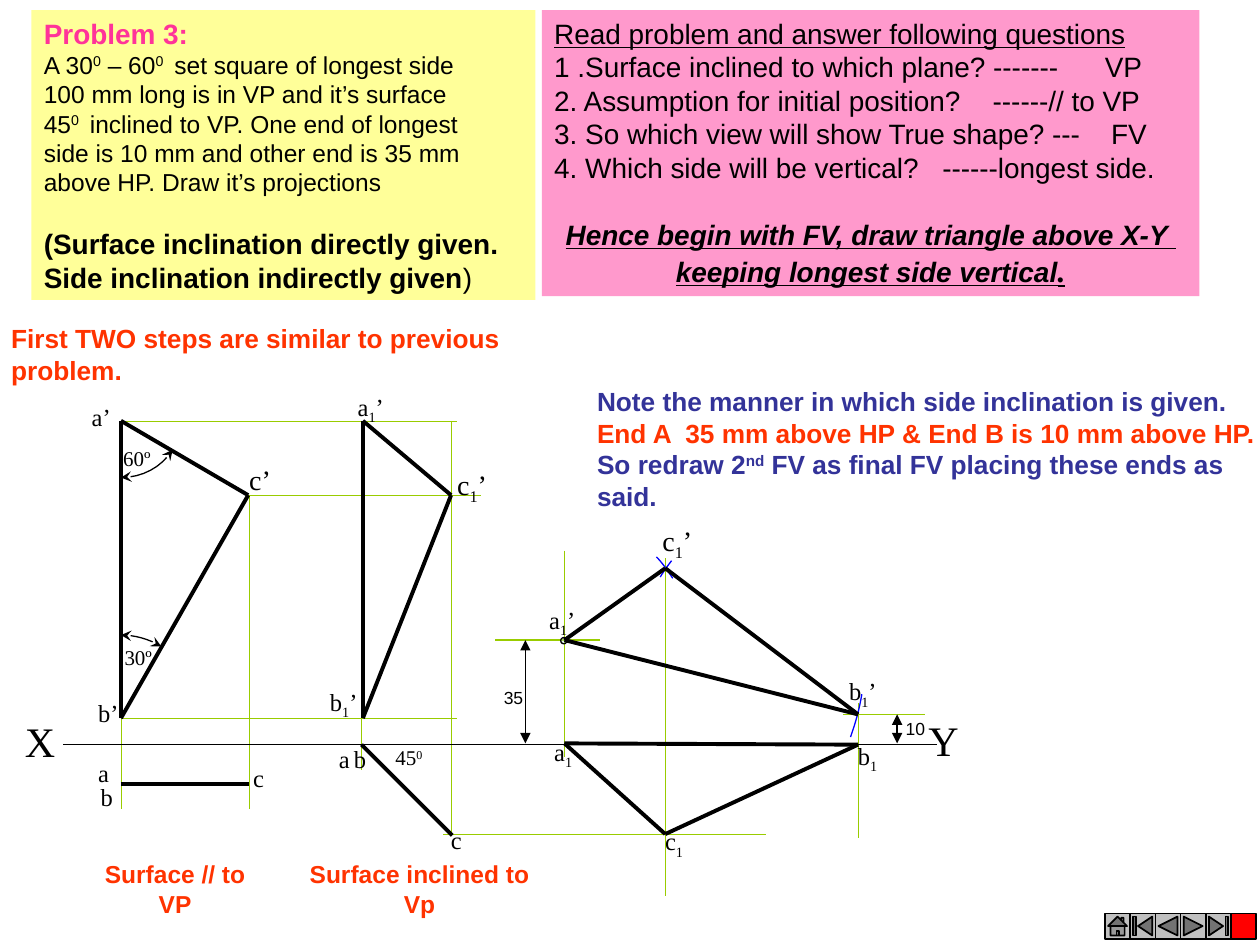
from dataclasses import dataclass, replace

from lxml import etree
from pptx import Presentation
from pptx.dml.color import RGBColor
from pptx.enum.shapes import MSO_CONNECTOR, MSO_SHAPE
from pptx.enum.text import MSO_ANCHOR, MSO_AUTO_SIZE, PP_ALIGN
from pptx.oxml.ns import qn
from pptx.util import Pt

PX = 9144
BLACK = RGBColor(0x00, 0x00, 0x00)
GREEN = RGBColor(0x99, 0xCC, 0x00)
BLUE = RGBColor(0x00, 0x00, 0xFF)
NAVY = RGBColor(0x33, 0x33, 0x99)
ORANGE = RGBColor(0xFF, 0x33, 0x00)
MAGENTA = RGBColor(0xFF, 0x33, 0x99)
YELLOW = RGBColor(0xFF, 0xFF, 0x99)
PINK = RGBColor(0xFF, 0x99, 0xCC)
SILVER = RGBColor(0xC0, 0xC0, 0xC0)
RED = RGBColor(0xFF, 0x00, 0x00)
PALE = RGBColor(0xBB, 0xE0, 0xE3)
STRAIGHT = MSO_CONNECTOR.STRAIGHT
RECTANGLE, OVAL = MSO_SHAPE.RECTANGLE, MSO_SHAPE.OVAL
LEFT, CENTER = PP_ALIGN.LEFT, PP_ALIGN.CENTER
TOP, FIT = MSO_ANCHOR.TOP, MSO_AUTO_SIZE.SHAPE_TO_FIT_TEXT
BUTTONS = (MSO_SHAPE.ACTION_BUTTON_HOME, MSO_SHAPE.ACTION_BUTTON_BEGINNING,
           MSO_SHAPE.ACTION_BUTTON_BACK_OR_PREVIOUS,
           MSO_SHAPE.ACTION_BUTTON_FORWARD_OR_NEXT,
           MSO_SHAPE.ACTION_BUTTON_END, MSO_SHAPE.ACTION_BUTTON_CUSTOM)
BASELINES = {"^": "30000", "_": "-25000"}


@dataclass(frozen=True)
class Style:
    """Look of a run of text."""
    size: int
    color: RGBColor = BLACK
    font: str = "Arial"
    bold: bool = False
    italic: bool = False
    underline: bool = False


BODY, LARGE = Style(14), Style(16)
STRONG = replace(LARGE, bold=True)
HENCE = replace(STRONG, italic=True, underline=True)
CAPTION = Style(14, ORANGE, bold=True)
NOTE = Style(15, NAVY, bold=True)
NOTE_HOT = replace(NOTE, color=ORANGE)
SERIF = {size: Style(size, font="Times New Roman") for size in (12, 14, 16, 24)}

GUIDES = [((528, 443), (528, 711)), ((681, 558), (681, 665)), ((352, 662), (608, 662)),
          ((358, 334), (358, 662)), ((198, 393), (198, 642)), ((96, 334), (96, 642)),
          ((287, 334), (287, 611)), ((96, 334), (363, 334)), ((96, 570), (363, 570)),
          ((197, 393), (382, 393)), ((448, 437), (448, 601))]
LEVELS = [((393, 508), (476, 508)), ((669, 567), (734, 567))]
DIMENSIONS = [((417, 508), (417, 590)), ((712, 567), (712, 590))]
VIEWS = [[(96, 334), (197, 393), (96, 570), (96, 334)],
         [(288, 334), (358, 393), (288, 570), (288, 334)],
         [(448, 508), (528, 451), (681, 567), (448, 508)],
         [(448, 590), (528, 662), (681, 591), (448, 590)],
         [(96, 622), (198, 622)], [(287, 591), (359, 663)]]
COMPASS_ARCS = [[(675, 585), (679, 574), (682, 563), (684, 551)],
                [(521, 442), (526, 447), (530, 453), (534, 459)],
                [(524, 458), (527, 453), (530, 449), (533, 445)]]
ANGLES = [([(96, 379), (113, 379), (128, 371), (137, 357)], "60º", (88, 349, 57, 30)),
          ([(96, 504), (107, 504), (118, 507), (128, 513)], "30º", (89, 507, 44, 30))]
FREE_LABELS = [
    (["X"], 24, (10, 563, 44, 50)), (["Y"], 24, (727, 562, 44, 50)),
    (["c", "_1"], 14, (518, 651, 35, 33)), (["a", "_1"], 14, (430, 580, 35, 33)),
    (["a", "_1", "’"], 14, (426, 475, 41, 33)), (["b", "_1", "’"], 14, (664, 532, 43, 33)),
    (["c", "_1", "’"], 16, (516, 411, 53, 37)), (["a", "_1", "’"], 14, (274, 306, 41, 33)),
    (["b", "_1", "’"], 14, (252, 540, 43, 33)), (["c", "_1", "’"], 16, (353, 366, 45, 37)),
    (["a"], 14, (259, 586, 29, 33)), (["b"], 14, (271, 586, 30, 33)),
    (["c"], 14, (348, 650, 29, 33)), (["c"], 14, (191, 601, 29, 33)),
    (["a"], 14, (68, 597, 29, 33)), (["b"], 14, (70, 616, 30, 33)),
    (["b’"], 14, (68, 549, 36, 33)), (["c’"], 16, (188, 362, 37, 37))]
WRAPPED_LABELS = [(["b", "_1"], 14, (671, 583, 46, 33)), (["a’"], 14, (63, 314, 43, 33)),
                  (["45", "^0"], 12, (304, 586, 55, 30))]


def place(box):
    """Turn a box in px into EMU."""
    return [value * PX for value in box]


def add_run(paragraph, text, style):
    """Add one run; a leading ^ or _ raises or lowers it."""
    run = paragraph.add_run()
    baseline = BASELINES.get(text[0])
    run.text = text[1:] if baseline else text
    font = run.font
    font.name, font.size, font.color.rgb = style.font, Pt(style.size), style.color
    font.bold, font.italic, font.underline = style.bold, style.italic, style.underline
    if baseline:
        run._r.get_or_add_rPr().set("baseline", baseline)


def write(shape, paragraphs, align=LEFT, wrap=True):
    """Fill a shape with paragraphs, each a list of (text, style) runs."""
    frame = shape.text_frame
    frame.word_wrap, frame.auto_size, frame.vertical_anchor = wrap, FIT, TOP
    for index, runs in enumerate(paragraphs):
        paragraph = frame.add_paragraph() if index else frame.paragraphs[0]
        paragraph.alignment = align
        for text, style in runs:
            add_run(paragraph, text, style)
    return frame.paragraphs


def styled(style, *texts):
    """Pair each text with one style."""
    return [(text, style) for text in texts]


def add_text(shapes, box, paragraphs, align=LEFT, wrap=True):
    """Add a text box."""
    write(shapes.add_textbox(*place(box)), paragraphs, align, wrap)


def add_tab(paragraph, position):
    """Give a paragraph one left tab stop."""
    stops = etree.SubElement(paragraph._p.get_or_add_pPr(), qn("a:tabLst"))
    etree.SubElement(stops, qn("a:tab"), pos=str(position * PX), algn="l")


def format_line(line, color, width, arrow=None):
    """Set colour, width and arrowheads at both ends."""
    line.color.rgb, line.width = color, Pt(width)
    if arrow:
        for end in ("a:headEnd", "a:tailEnd"):
            etree.SubElement(line._get_or_add_ln(), qn(end), type=arrow)


def add_line(shapes, start, end, color=BLACK, width=0.75, arrow=None):
    """Add a straight connector without shadow."""
    connector = shapes.add_connector(STRAIGHT, *place(start + end))
    format_line(connector.line, color, width, arrow)
    etree.SubElement(connector._element.spPr, qn("a:effectLst"))


def add_arc(shapes, controls, color, arrow=None, steps=8):
    """Add an open curve from four Bezier control points."""
    points = []
    for step in range(steps + 1):
        t = step / steps
        weights = ((1 - t) ** 3, 3 * t * (1 - t) ** 2, 3 * t * t * (1 - t), t ** 3)
        points.append(tuple(round(PX * sum(w * c for w, c in zip(weights, axis)))
                            for axis in zip(*controls)))
    builder = shapes.build_freeform(*points[0], scale=1.0)
    builder.add_line_segments(points[1:], close=False)
    arc = builder.convert_to_shape()
    arc.shadow.inherit = False
    arc.fill.background()
    format_line(arc.line, color, 0.75, arrow)


def add_filled(shapes, kind, box, fill, line_width=None):
    """Add a preset shape with a plain fill and optional black line."""
    shape = shapes.add_shape(kind, *place(box))
    shape.shadow.inherit = False
    shape.fill.solid()
    shape.fill.fore_color.rgb = fill
    if line_width:
        format_line(shape.line, BLACK, line_width)
    else:
        shape.line.fill.background()
    return shape


def add_panels(shapes):
    """Add the problem statement and the questions."""
    problem = write(add_filled(shapes, RECTANGLE, (25, 8, 400, 230), YELLOW), [
        styled(replace(STRONG, color=MAGENTA), "Problem 3:"),
        styled(BODY, "A 30", "^0", " – 60", "^0 ", " set square of longest side"),
        styled(BODY, "100 mm long is in VP and it’s surface"),
        styled(BODY, "45", "^0 ", " inclined to VP. One end of longest"),
        styled(BODY, "side is 10 mm and other end is 35 mm"),
        styled(BODY, "above HP. Draw it’s projections"),
        styled(STRONG, "(Surface inclination directly given."),
        styled(STRONG, "Side inclination indirectly given") + styled(LARGE, ")")])
    problem[6].space_before = Pt(17)
    questions = write(add_filled(shapes, RECTANGLE, (430, 8, 522, 227), PINK), [
        styled(replace(LARGE, underline=True), "Read problem and answer following questions"),
        styled(LARGE, "1 .Surface inclined to which plane? -------\tVP"),
        styled(LARGE, "2. Assumption for initial position?\t------// to VP"),
        styled(LARGE, "3. So which view will show True shape? ---\tFV"),
        styled(LARGE, "4. Which side will be vertical?\t------longest side."),
        styled(HENCE, "Hence begin with FV, draw triangle above X-Y "),
        styled(HENCE, "keeping longest side vertical")
        + styled(replace(HENCE, size=18, font="Times New Roman"), ".")])
    for paragraph, position in zip(questions[1:5], (437, 348, 442, 308)):
        add_tab(paragraph, position)
    for paragraph in questions[5:]:
        paragraph.alignment = CENTER
    questions[5].space_before = Pt(19)


def add_drawing(shapes):
    """Add the projection lines, views and arcs."""
    for start, end in GUIDES:
        add_line(shapes, start, end, GREEN, 0.25)
    for start, end in LEVELS:
        add_line(shapes, start, end, GREEN)
    add_line(shapes, (50, 591), (744, 591))
    for start, end in DIMENSIONS:
        add_line(shapes, start, end, arrow="triangle")
    end_a = add_filled(shapes, OVAL, (445, 506, 5, 5), PALE, 0.75)
    color = end_a.fill._xPr.find(qn("a:solidFill"))[0]
    etree.SubElement(color, qn("a:alpha"), val="39000")
    for controls in COMPASS_ARCS:
        add_arc(shapes, controls, BLUE)
    for corners in VIEWS:
        for start, end in zip(corners, corners[1:]):
            add_line(shapes, start, end, width=2.25)
    for controls, text, box in ANGLES:
        group = shapes.add_group_shape().shapes
        add_arc(group, controls, BLACK, "stealth")
        add_text(group, box, [styled(SERIF[12], text)])


def add_labels(shapes):
    """Add point names, dimensions, captions and notes."""
    for labels, wrap in ((FREE_LABELS, False), (WRAPPED_LABELS, True)):
        for texts, size, box in labels:
            add_text(shapes, box, [styled(SERIF[size], *texts)], wrap=wrap)
    for text, left in (("35", 390), ("10", 709)):
        add_text(shapes, (left, 540 if text == "35" else 565, 44, 27),
                 [styled(Style(10), text)])
    add_text(shapes, (-1, 251, 480, 58),
             [styled(NOTE_HOT, "First TWO steps are similar to previous problem.")])
    add_text(shapes, (64, 677, 150, 57), [styled(CAPTION, "Surface // to VP")], CENTER)
    add_text(shapes, (227, 677, 212, 57), [styled(CAPTION, "Surface inclined to Vp")], CENTER)
    add_text(shapes, (464, 301, 547, 110), [
        styled(NOTE, "Note the manner in which side inclination is given."),
        styled(NOTE_HOT, "End A  35 mm above HP & End B is 10 mm above HP."),
        styled(NOTE, "So redraw 2", "^nd", " FV as final FV placing these ends as said.")])


def add_navigation(shapes):
    """Add the row of action buttons."""
    group = shapes.add_group_shape().shapes
    for index, kind in enumerate(BUTTONS):
        fill = RED if kind == BUTTONS[-1] else SILVER
        add_filled(group, kind, (877 + 20 * index, 725, 20, 20), fill, 1)


def main():
    """Build and save the slide."""
    presentation = Presentation()
    presentation.slide_width, presentation.slide_height = place((1000, 750))
    shapes = presentation.slides.add_slide(presentation.slide_layouts[6]).shapes
    for add_part in (add_panels, add_drawing, add_labels, add_navigation):
        add_part(shapes)
    presentation.save("out.pptx")


if __name__ == "__main__":
    main()
